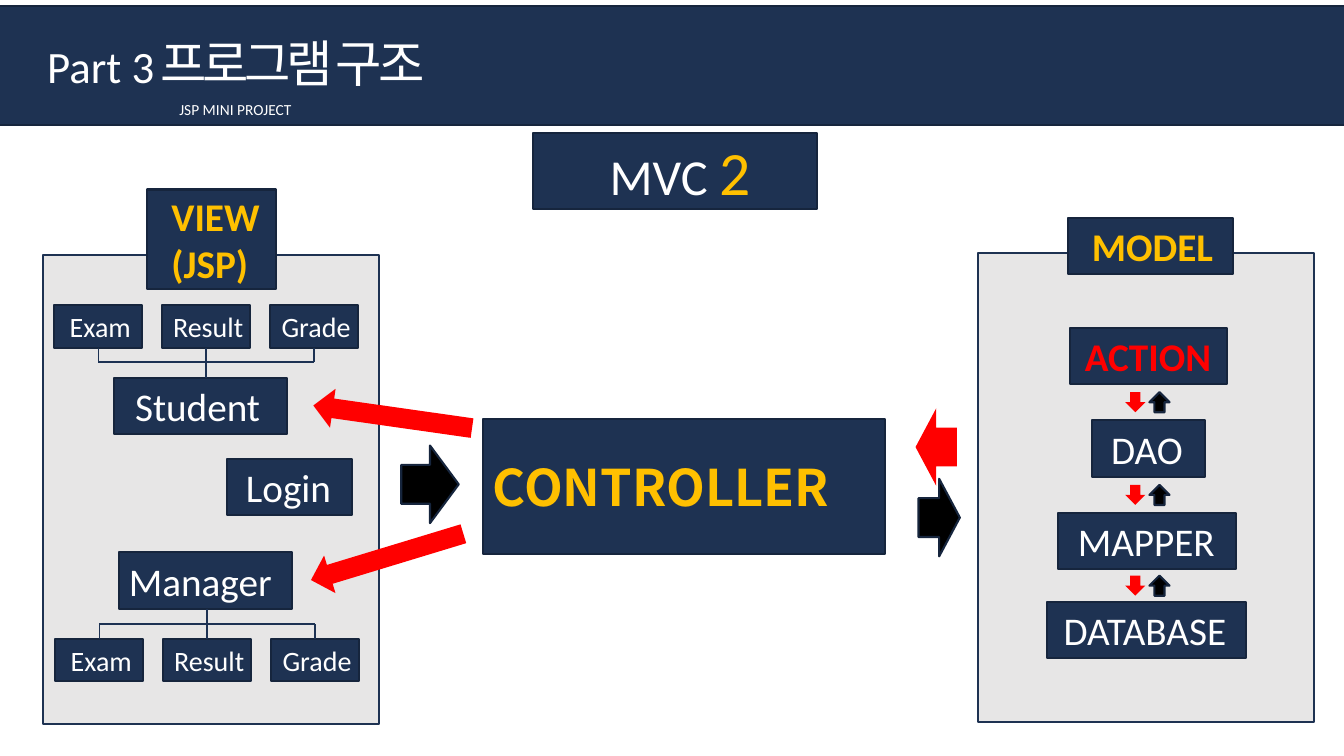
import pptx
import pptx.util
import pptx.dml.color
import pptx.enum.shapes
import pptx.enum.text
import pptx.oxml
import pptx.oxml.ns

Inches, Pt = pptx.util.Inches, pptx.util.Pt
SHAPE = pptx.enum.shapes.MSO_SHAPE
ALIGN = pptx.enum.text.PP_ALIGN
ANCHOR = pptx.enum.text.MSO_ANCHOR

NAVY, EDGE, WIRE, GRAY = "1E3252", "16253D", "1D3253", "E7E6E6"
WHITE, GOLD, RED, BLACK = "FFFFFF", "FFC000", "FF0000", "000000"


def rgb(color):
    return pptx.dml.color.RGBColor.from_string(color)


def add_box(s, x, y, w, h, fill=NAVY, line=EDGE, kind=SHAPE.RECTANGLE):
    sp = s.shapes.add_shape(kind, Inches(x), Inches(y), Inches(w), Inches(h))
    sp.shadow.inherit = False
    sp.fill.solid()
    sp.fill.fore_color.rgb = rgb(fill)
    if line:
        sp.line.color.rgb = rgb(line)
        sp.line.width = Pt(1.5)
    else:
        sp.line.fill.background()
    return sp


def add_arrow(s, x, y, w, h, color, rotation=0):
    sp = add_box(s, x, y, w, h, color, EDGE if color == BLACK else None, SHAPE.RIGHT_ARROW)
    sp.rotation = rotation


def write(sp, lines, size, color=WHITE, bold=False, font="Calibri", align=ALIGN.LEFT, inset=0.1):
    """Fill a shape with lines of one style; inset is the left margin in inches."""
    tf = sp.text_frame
    tf.word_wrap = True
    tf.vertical_anchor = ANCHOR.MIDDLE
    tf.margin_left = Inches(inset)
    tf.margin_right = tf.margin_top = tf.margin_bottom = 0
    for i, line in enumerate(lines):
        p = tf.add_paragraph() if i else tf.paragraphs[0]
        p.alignment = align
        p.font.name, p.font.size, p.font.bold = font, Pt(size), bold
        p.font.color.rgb = rgb(color)
        p.add_run().text = line
    return p


def add_label(s, x, y, w, h, text, size):
    sp = s.shapes.add_textbox(Inches(x), Inches(y), Inches(w), Inches(h))
    return write(sp, [text], size)


def add_wire(s, x1, y1, x2, y2):
    c = s.shapes.add_connector(pptx.enum.shapes.MSO_CONNECTOR.STRAIGHT,
                               Inches(x1), Inches(y1), Inches(x2), Inches(y2))
    c.line.color.rgb = rgb(WIRE)
    c.line.width = Pt(1)
    c._element.spPr.append(pptx.oxml.parse_xml(
        "<a:effectLst %s/>" % pptx.oxml.ns.nsdecls("a")))
    return c


def add_header(s, x, y, w, h):
    add_box(s, x, y, w, h)
    p = add_label(s, x + 1.89, y + 0.2, 3.3, 0.71, "프로그램 구조", 36)
    p.runs[0].font._element.set("spc", "-300")
    add_label(s, x + 0.77, y + 0.27, 1.47, 0.64, "Part 3", 32)
    add_label(s, x + 2.08, y + 0.88, 1.78, 0.29, "JSP MINI PROJECT", 11)


def add_pages(s, x, y, parent_edge):
    """Row of three page boxes wired to the role box whose facing edge is given."""
    w, h, step = 0.87, 0.42, 1.07
    below = parent_edge > y
    side, edge = (2, y + h) if below else (0, y)
    bus = edge + (0.14 if below else -0.15)
    centers = [x + i * step + w / 2 for i in range(3)]
    for i, (name, center) in enumerate(zip(("Exam", "Result", "Grade"), centers)):
        page = add_box(s, x + i * step, y, w, h)
        write(page, [name], 20, align=ALIGN.CENTER, inset=0.04)
        wire = add_wire(s, center, edge, center, parent_edge if i == 1 else bus)
        wire.begin_connect(page, side)
    add_wire(s, centers[0], bus, centers[2], bus)


def add_view(s, x, y, w, h):
    add_box(s, x, y, w, h, GRAY, NAVY)
    write(add_box(s, x + 1.03, y - 0.65, 1.28, 0.99), ["VIEW", "(JSP)"], 28, GOLD, True, inset=0.24)
    for name, dx, dy, bw, inset in (("Student", 0.7, 1.22, 1.72, 0.21),
                                    ("Login", 1.82, 2.02, 1.24, 0.19),
                                    ("Manager", 0.75, 2.95, 1.72, 0.1)):
        write(add_box(s, x + dx, y + dy, bw, 0.56), [name], 28, inset=inset)
    add_pages(s, x + 0.11, y + 0.5, y + 1.22)
    add_pages(s, x + 0.12, y + 3.81, y + 3.51)


def add_model(s, x, y, w, h):
    add_box(s, x, y, w, h, GRAY, NAVY)
    write(add_box(s, x + 0.89, y - 0.35, 1.64, 0.56), ["MODEL"], 28, GOLD, True, inset=0.24)
    layers = (("ACTION", 0.91, 0.74, 1.56, 0.15), ("DAO", 1.13, 1.66, 1.12, 0.19),
              ("MAPPER", 0.79, 2.58, 1.77, 0.2), ("DATABASE", 0.68, 3.46, 1.98, 0.17))
    bh, size = 0.56, 0.2
    for i, (name, dx, dy, bw, inset) in enumerate(layers):
        action = name == "ACTION"
        write(add_box(s, x + dx, y + dy, bw, bh), [name], 28, RED if action else WHITE,
              action, inset=inset)
        if i:
            middle = y + (layers[i - 1][2] + bh + dy) / 2
            add_arrow(s, x + 1.46, middle - size / 2, size, size, RED, 90)
            add_arrow(s, x + 1.7, middle - size / 2, size, size, BLACK, 270)


def add_controller(s, x, y, w, h):
    """Controller box with the arrows to the view and the model."""
    write(add_box(s, x, y, w, h), ["CONTROLLER"], 36, GOLD, True, "Noto Sans CJK KR")
    add_arrow(s, x - 1.69, y - 0.22, 1.59, 0.39, RED, 188.1)
    add_arrow(s, x - 0.81, y + 0.26, 0.57, 0.77, BLACK)
    add_arrow(s, x - 1.74, y + 1.17, 1.58, 0.39, RED, 163.1)
    add_arrow(s, x + w + 0.3, y - 0.11, 0.41, 0.77, RED, 180)
    add_arrow(s, x + w + 0.33, y + 0.59, 0.41, 0.77, BLACK)


def add_pattern_name(s, x, y, w, h):
    p = write(add_box(s, x, y, w, h), ["MVC "], 36, align=ALIGN.CENTER)
    r = p.add_run()
    r.text = "2"
    r.font.size = Pt(44)
    r.font.color.rgb = rgb(GOLD)


def main():
    prs = pptx.Presentation()
    prs.slide_width, prs.slide_height = Inches(13.33), Inches(7.5)
    s = prs.slides.add_slide(prs.slide_layouts[6])
    add_header(s, -0.4, 0.06, 14.29, 1.18)
    add_pattern_name(s, 5.29, 1.32, 2.81, 0.75)
    add_view(s, 0.43, 2.53, 3.33, 4.65)
    add_model(s, 9.7, 2.51, 3.33, 4.65)
    add_controller(s, 4.79, 4.16, 3.99, 1.34)
    prs.save("out.pptx")


if __name__ == "__main__":
    main()
